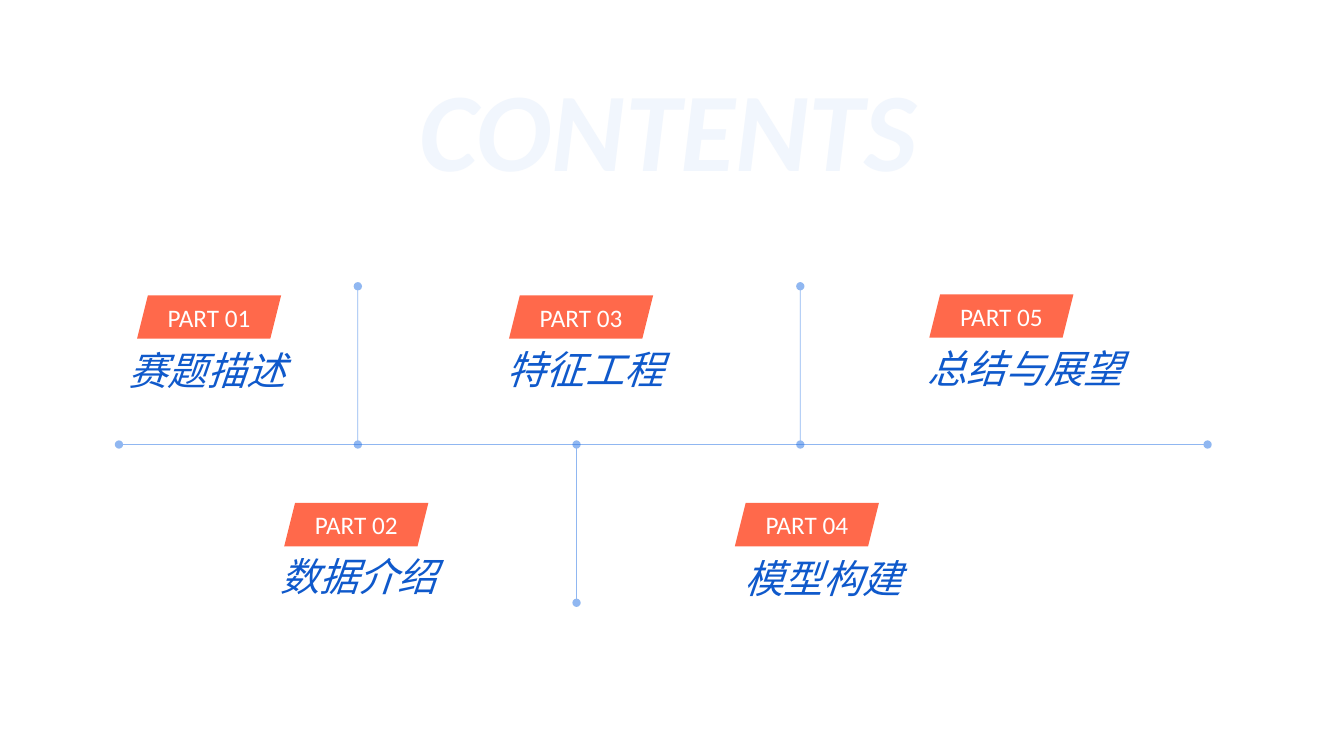
from dataclasses import dataclass

from lxml.etree import SubElement
from pptx import Presentation
from pptx.dml.color import RGBColor
from pptx.enum.shapes import MSO_CONNECTOR, MSO_SHAPE
from pptx.enum.text import MSO_ANCHOR, MSO_AUTO_SIZE, PP_ALIGN
from pptx.oxml.ns import qn
from pptx.slide import Slide
from pptx.text.text import _Paragraph
from pptx.util import Inches, Pt

# The slide is a grid of 160 columns by 90 rows of square cells.
CELL = Inches(7.5) / 90


@dataclass(frozen=True)
class Theme:
    tag_fill: RGBColor = RGBColor(0xFF, 0x69, 0x4B)
    tag_text: RGBColor = RGBColor(0xFF, 0xFF, 0xFF)
    caption: RGBColor = RGBColor(0x0F, 0x59, 0xCB)
    line: RGBColor = RGBColor(0x2E, 0x77, 0xE5)
    heading: RGBColor = RGBColor(0xF1, 0xF6, 0xFD)
    line_opacity: int = 53
    line_width: float = 0.5
    latin_font: str = "Calibri"
    chinese_font: str = "Noto Sans CJK SC"
    heading_size: int = 80
    caption_size: int = 28
    tag_size: int = 18


@dataclass(frozen=True)
class Part:
    caption: str
    tag_column: float
    tag_row: float
    caption_column: float
    caption_row: float
    caption_columns: float = 40.92


@dataclass(frozen=True)
class Line:
    start_column: float
    start_row: float
    end_column: float
    end_row: float


THEME = Theme()
TAG_COLUMNS, TAG_ROWS = 17.16, 5.16
CAPTION_ROWS = 6.84
AXIS_ROW, BRANCH_ROWS = 52.92, 18.84

PARTS = [
    Part("赛题描述", 16.32, 35.16, 14.16, 40.68),
    Part("数据介绍", 33.84, 59.88, 32.16, 65.16, 43.44),
    Part("特征工程", 60.6, 35.16, 59.16, 40.56),
    Part("模型构建", 87.48, 59.88, 87.48, 65.4),
    Part("总结与展望", 110.64, 35.04, 109.2, 40.44),
]
LINES = [
    Line(14.16, AXIS_ROW, 143.76, AXIS_ROW),
    Line(42.6, AXIS_ROW - BRANCH_ROWS, 42.6, AXIS_ROW),
    Line(68.64, AXIS_ROW, 68.64, AXIS_ROW + BRANCH_ROWS),
    Line(95.28, AXIS_ROW - BRANCH_ROWS, 95.28, AXIS_ROW),
]


def cells(*counts: float) -> list[int]:
    return [round(count * CELL) for count in counts]


def style(paragraph: _Paragraph, name: str, size: int, color: RGBColor,
          bold: bool = False, italic: bool = False) -> None:
    font = paragraph.font
    font.name, font.size = name, Pt(size)
    font.bold, font.italic = bold, italic
    font.color.rgb = color


def add_heading(slide: Slide) -> None:
    title = slide.shapes.title
    title.left, title.top, title.width, title.height = cells(43.56, 6.96, 72, 16.32)
    frame = title.text_frame
    frame.text = "CONTENTS"
    frame.vertical_anchor = MSO_ANCHOR.MIDDLE
    frame.auto_size = MSO_AUTO_SIZE.NONE
    frame.margin_top = frame.margin_bottom = 0
    paragraph = frame.paragraphs[0]
    paragraph.alignment = PP_ALIGN.CENTER
    style(paragraph, THEME.latin_font, THEME.heading_size, THEME.heading,
          bold=True, italic=True)


def add_line(slide: Slide, line: Line) -> None:
    connector = slide.shapes.add_connector(
        MSO_CONNECTOR.STRAIGHT,
        *cells(line.start_column, line.start_row, line.end_column, line.end_row))
    connector.line.width = Pt(THEME.line_width)
    connector.line.color.rgb = THEME.line
    # Transparency, round ends and no shadow
    properties = connector.element.spPr
    color = properties.find(".//" + qn("a:srgbClr"))
    SubElement(color, qn("a:alpha"), val=str(THEME.line_opacity * 1000))
    outline = properties.find(qn("a:ln"))
    for end in ("a:headEnd", "a:tailEnd"):
        SubElement(outline, qn(end), type="oval")
    SubElement(properties, qn("a:effectLst"))


def add_tag(slide: Slide, number: int, part: Part) -> None:
    tag = slide.shapes.add_shape(
        MSO_SHAPE.PARALLELOGRAM,
        *cells(part.tag_column, part.tag_row, TAG_COLUMNS, TAG_ROWS))
    tag.shadow.inherit = False
    tag.fill.solid()
    tag.fill.fore_color.rgb = THEME.tag_fill
    tag.line.fill.background()
    frame = tag.text_frame
    frame.text = f"PART {number:02d}"
    frame.word_wrap = False
    frame.vertical_anchor = MSO_ANCHOR.MIDDLE
    paragraph = frame.paragraphs[0]
    paragraph.alignment = PP_ALIGN.CENTER
    style(paragraph, THEME.latin_font, THEME.tag_size, THEME.tag_text)


def add_caption(slide: Slide, part: Part) -> None:
    box = slide.shapes.add_textbox(
        *cells(part.caption_column, part.caption_row, part.caption_columns, CAPTION_ROWS))
    frame = box.text_frame
    frame.text = part.caption
    frame.word_wrap = True
    frame.auto_size = MSO_AUTO_SIZE.SHAPE_TO_FIT_TEXT
    paragraph = frame.paragraphs[0]
    style(paragraph, THEME.chinese_font, THEME.caption_size, THEME.caption, italic=True)
    # East Asian typeface for the Chinese text
    defaults = paragraph._p.pPr.find(qn("a:defRPr"))
    SubElement(defaults, qn("a:ea"), typeface=THEME.chinese_font)


def main() -> None:
    presentation = Presentation()
    presentation.slide_width, presentation.slide_height = cells(160, 90)
    slide = presentation.slides.add_slide(presentation.slide_layouts[5])

    # Heading
    add_heading(slide)

    # Timeline axis and branches
    for line in LINES:
        add_line(slide, line)

    # Numbered parts
    for number, part in enumerate(PARTS, start=1):
        add_caption(slide, part)
        add_tag(slide, number, part)

    presentation.save("out.pptx")


if __name__ == "__main__":
    main()
